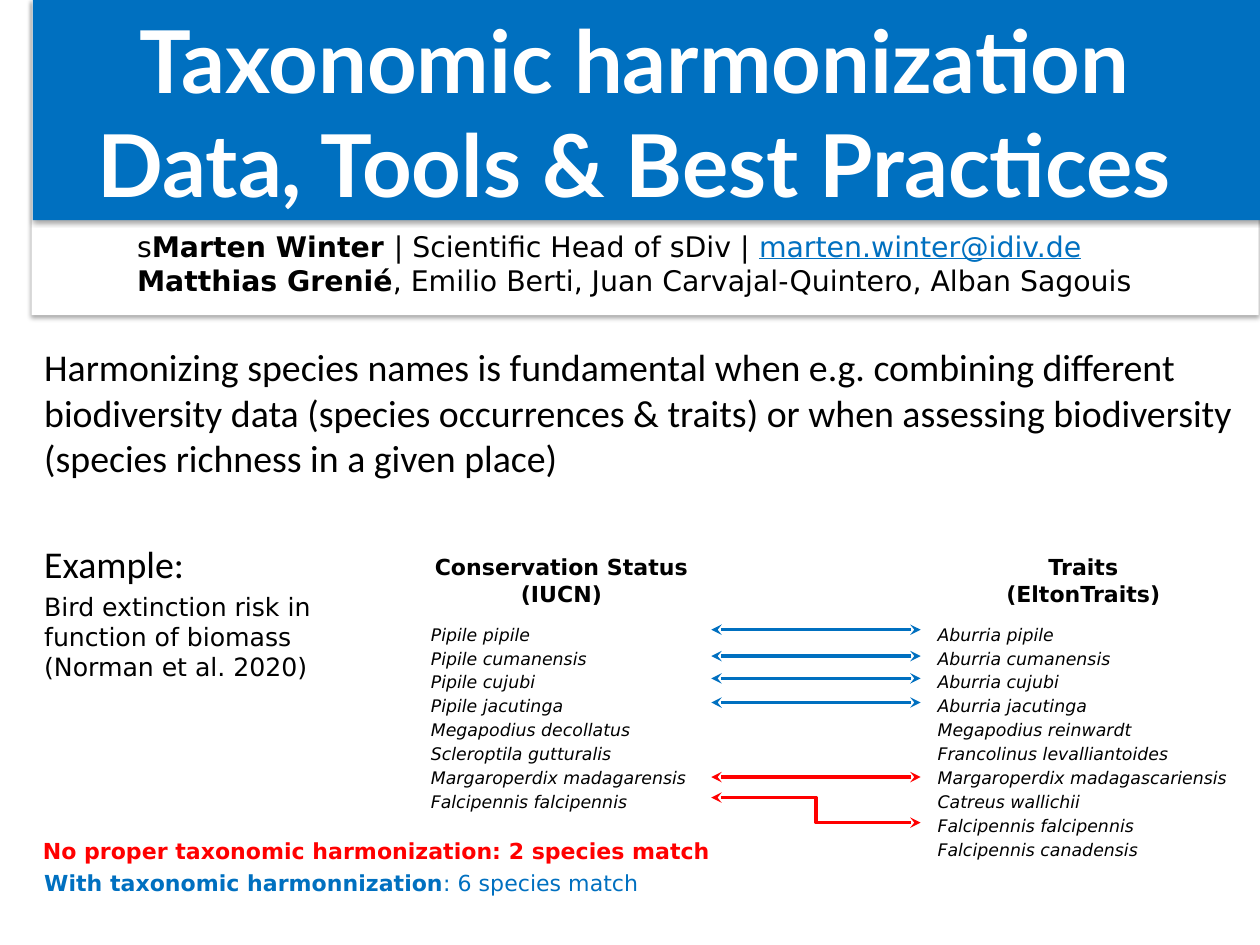
from dataclasses import dataclass

from lxml.etree import SubElement
from pptx import Presentation
from pptx.dml.color import RGBColor as Rgb
from pptx.enum.shapes import MSO_CONNECTOR as Link, MSO_SHAPE as Form
from pptx.enum.text import MSO_ANCHOR as Anchor, MSO_AUTO_SIZE as Fit, PP_ALIGN as Align
from pptx.oxml.ns import qn
from pptx.util import Cm, Pt

BLUE, RED, BLACK, WHITE = "0070C0", "FF0000", "000000", "FFFFFF"
SANS = "DejaVu Sans"


@dataclass
class Box:
    left: float
    top: float
    width: float
    height: float


@dataclass
class Run:
    text: str
    bold: bool = False
    color: str = BLACK
    under: bool = False


@dataclass
class Style:
    size: float
    face: str = SANS
    color: str = BLACK
    bold: bool | None = None
    slant: bool | None = None
    align: Align = Align.LEFT
    space: float = 1
    before: float = 0


@dataclass
class Label:
    box: Box
    lines: list[str | list[Run]]
    style: Style
    inset: float = 0.25


@dataclass
class Arrow:
    start: float
    end: float
    color: str


HEAD = Style(14, bold=True, align=Align.CENTER)
NAMES = Style(11, slant=True, space=1.15)
NOTE = Style(14)
TITLE = Style(55, "Lato", WHITE, True, align=Align.CENTER)
LEAD = Style(24, "Calibri", before=4.8)

TITLES = ["Taxonomic harmonization", "Data, Tools & Best Practices"]
BODY = [
    ("Harmonizing species names is fundamental when e.g. combining different "
     "biodiversity data (species occurrences & traits) or when assessing "
     "biodiversity (species richness in a given place)", LEAD),
    ("Example:", Style(24, "Calibri", before=38.5)),
    ("Bird extinction risk in \vfunction of biomass \v(Norman et al. 2020)",
     Style(16, before=3.2)),
]
LABELS = [
    Label(Box(3.07, 5, 23.8, 1.78), [
        [Run("s"), Run("Marten Winter ", True), Run("| Scientific Head of sDiv | "),
         Run("marten.winter@idiv.de", color=BLUE, under=True)],
        [Run("Matthias Grenié", True),
         Run(", Emilio Berti, Juan Carvajal-Quintero, Alban Sagouis")],
    ], Style(18), 0),
    Label(Box(9.4, 12.27, 6.35, 1.47), ["Conservation Status", "(IUCN)"], HEAD),
    Label(Box(22.17, 12.27, 4.19, 1.47), ["Traits", "(EltonTraits)"], HEAD),
    Label(Box(9.4, 13.77, 6.32, 4.57), [
        "Pipile pipile", "Pipile cumanensis", "Pipile cujubi", "Pipile jacutinga",
        "Megapodius decollatus", "Scleroptila gutturalis",
        "Margaroperdix madagarensis", "Falcipennis falcipennis"], NAMES),
    Label(Box(20.75, 13.77, 7.06, 5.64), [
        "Aburria pipile", "Aburria cumanensis", "Aburria cujubi", "Aburria jacutinga",
        "Megapodius reinwardt", "Francolinus levalliantoides",
        "Margaroperdix madagascariensis", "Catreus wallichii",
        "Falcipennis falcipennis", "Falcipennis canadensis"], NAMES),
    Label(Box(0.71, 18.62, 19.23, 0.99), [
        [Run("No proper taxonomic harmonization: 2 species match", True, RED)]], NOTE),
    Label(Box(0.74, 19.33, 15.19, 0.97), [
        [Run("With taxonomic harmonnization", True, BLUE),
         Run(": 6 species match", color=BLUE)]], NOTE),
]
ARROWS = [Arrow(y, y, BLUE) for y in (14.1, 14.69, 15.19, 15.73)]
ARROWS += [Arrow(17.4, 17.4, RED), Arrow(17.86, 18.42, RED)]


def tint(code: str) -> Rgb:
    return Rgb.from_string(code)


def place(shape, box: Box) -> None:
    shape.left, shape.top = Cm(box.left), Cm(box.top)
    shape.width, shape.height = Cm(box.width), Cm(box.height)


def frame(shape, inset: float = 0.25):
    text = shape.text_frame
    text.word_wrap, text.auto_size = True, Fit.NONE
    text.vertical_anchor = Anchor.TOP
    text.margin_left = text.margin_right = Cm(inset)
    text.margin_top = text.margin_bottom = Cm(0.13)
    return text


def write(text, items: list[tuple[str | list[Run], Style]]) -> None:
    for i, (line, style) in enumerate(items):
        para = text.add_paragraph() if i else text.paragraphs[0]
        para.alignment, para.line_spacing = style.align, style.space
        para.space_before, para.space_after = Pt(style.before), Pt(0)
        font = para.font
        font.name, font.size = style.face, Pt(style.size)
        font.bold, font.italic = style.bold, style.slant
        font.color.rgb = tint(style.color)
        if isinstance(line, str):
            para.text = line
            continue
        for part in line:
            run = para.add_run()
            run.text = part.text
            run.font.bold, run.font.underline = part.bold, part.under
            run.font.color.rgb = tint(part.color)


def panel(slide, box: Box, color: str) -> None:
    shape = slide.shapes.add_shape(Form.RECTANGLE, 0, 0, 0, 0)
    place(shape, box)
    shape.fill.solid()
    shape.fill.fore_color.rgb = tint(color)
    shape.line.fill.background()
    shape.shadow.inherit = False
    glow = SubElement(shape.element.spPr.find(qn("a:effectLst")), qn("a:outerShdw"),
                      blurRad=str(Pt(3.1)), dist=str(Pt(1.8)), dir="5400000",
                      rotWithShape="0")
    shade = SubElement(glow, qn("a:srgbClr"), val=BLACK)
    SubElement(shade, qn("a:alpha"), val="35000")
    shape.element.getparent().insert(2, shape.element)


def label(slide, item: Label) -> None:
    shape = slide.shapes.add_textbox(0, 0, 0, 0)
    place(shape, item.box)
    write(frame(shape, item.inset), [(line, item.style) for line in item.lines])


def connect(slide, item: Arrow) -> None:
    kind = Link.STRAIGHT if item.start == item.end else Link.ELBOW
    link = slide.shapes.add_connector(
        kind, Cm(15.93), Cm(item.start), Cm(20.62), Cm(item.end))
    link.line.width = Pt(2.25)
    link.line.color.rgb = tint(item.color)
    props = link.element.spPr
    for end in ("a:headEnd", "a:tailEnd"):
        SubElement(props.find(qn("a:ln")), qn(end), type="stealth")
    SubElement(props, qn("a:effectLst"))


def main() -> None:
    deck = Presentation()
    deck.slide_width, deck.slide_height = Cm(28.22), Cm(21.16)
    slide = deck.slides.add_slide(deck.slide_layouts[1])

    title, body = slide.placeholders
    place(title, Box(0, 0.03, 28.42, 4.42))
    write(frame(title), [(line, TITLE) for line in TITLES])
    place(body, Box(0.74, 7.57, 27.43, 8))
    write(frame(body), BODY)
    for para in body.text_frame.paragraphs:
        props = para._p.get_or_add_pPr()
        props.set("marL", "0")
        props.set("indent", "0")
        SubElement(props, qn("a:buNone"))
        props.insert_element_before(props.find(qn("a:buNone")), "a:defRPr")

    panel(slide, Box(0.74, 0, 27.58, 4.93), BLUE)
    panel(slide, Box(0.71, 0, 27.48, 7.06), WHITE)
    for item in LABELS:
        label(slide, item)
    for item in ARROWS:
        connect(slide, item)
    deck.save("out.pptx")


if __name__ == "__main__":
    main()
